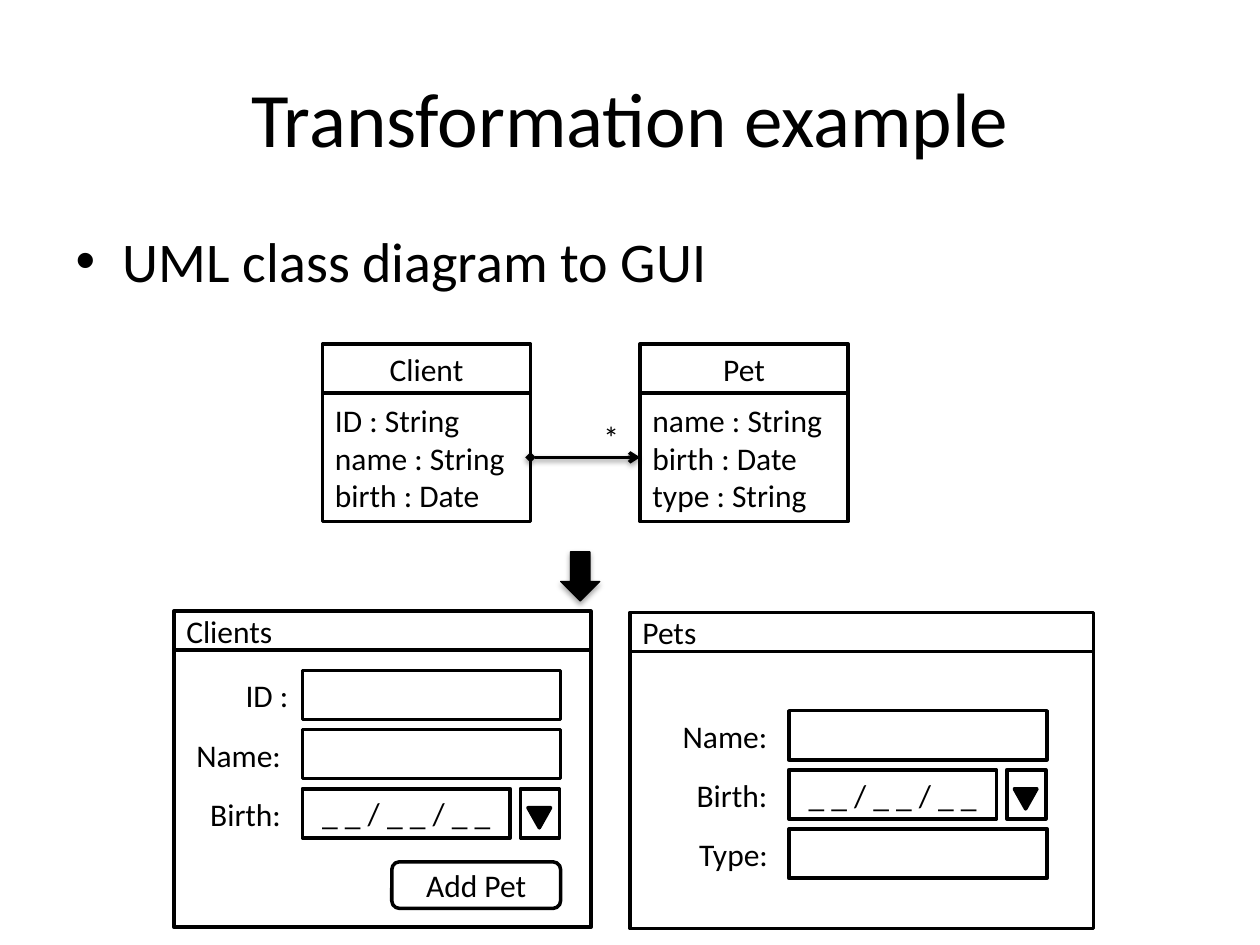
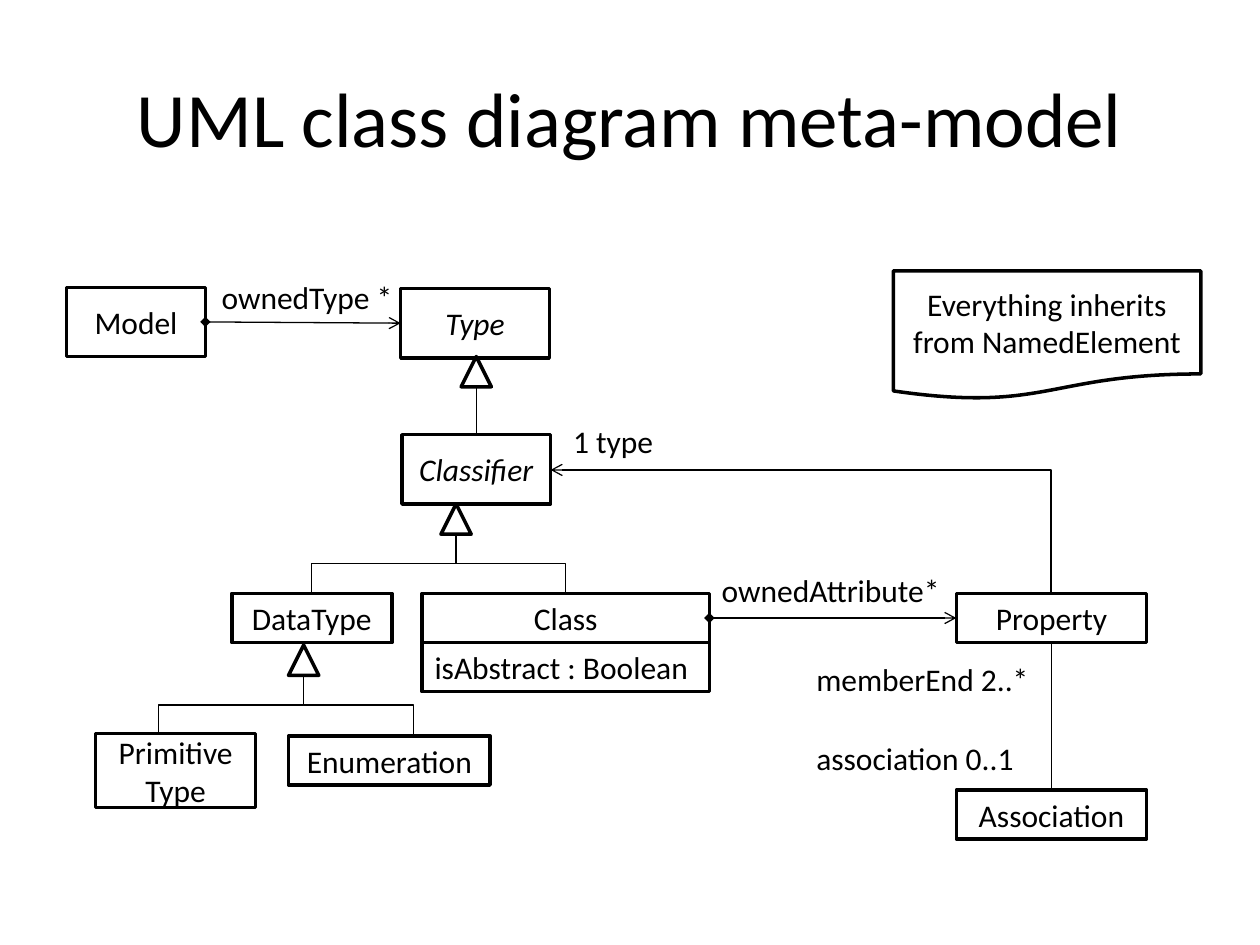
from dataclasses import dataclass

from lxml.etree import SubElement
from pptx import Presentation
from pptx.dml.color import RGBColor
from pptx.enum.shapes import MSO_CONNECTOR, MSO_SHAPE
from pptx.enum.text import MSO_ANCHOR, MSO_AUTO_SIZE, PP_ALIGN
from pptx.oxml.ns import qn
from pptx.util import Inches, Pt


@dataclass(frozen=True)
class Theme:
    font: str = "Calibri"
    ink: RGBColor = RGBColor(0, 0, 0)
    paper: RGBColor = RGBColor(255, 255, 255)
    title_size: float = 44
    body_size: float = 32
    label_size: float = 18
    thick: float = 2
    thin: float = 0.75


TITLE_AREA = (0.5, 0.3, 9, 1.25)
ROW_HEIGHT = 0.39
ROW_PITCH = 0.47
LABEL_HEIGHT = 0.4
FIELD_WIDTH = 2.05
DATE_WIDTH = 1.65
HEADER_HEIGHT = 0.31
CLASS_WIDTH = 1.65
TRIANGLE_SIZE = 0.24
BRANCH_HEIGHT = 0.47
BRANCH_OFFSETS = (-1.15, 0.87)


class DiagramDeck:
    """Holds the style and the current slide."""

    def __init__(self, theme):
        self.theme = theme
        self.deck = Presentation()
        self.deck.slide_width = Inches(10)
        self.deck.slide_height = Inches(7.5)
        self.page = None

    # Slides and text
    def add_page(self, title, bullet=None):
        layout = self.deck.slide_layouts[1 if bullet else 5]
        self.page = self.deck.slides.add_slide(layout)
        self.fill_placeholder(0, TITLE_AREA, title, self.theme.title_size, PP_ALIGN.CENTER)
        if bullet:
            self.fill_placeholder(1, (0.5, 1.75, 9, 0.66), bullet, self.theme.body_size)

    def fill_placeholder(self, index, area, text, size, align=None):
        box = self.page.placeholders[index]
        box.left, box.top, box.width, box.height = map(Inches, area)
        self.add_lines(box.text_frame, [text], size, align)

    def add_lines(self, frame, lines, size, align=None, italic=None):
        for number, line in enumerate(lines):
            para = frame.add_paragraph() if number else frame.paragraphs[0]
            para.alignment = align
            span = para.add_run()
            span.text = line
            span.font.name = self.theme.font
            span.font.size = Pt(size)
            span.font.italic = italic
            span.font.color.rgb = self.theme.ink

    def label(self, left, top, width, text):
        box = self.page.shapes.add_textbox(
            Inches(left), Inches(top), Inches(width), Inches(LABEL_HEIGHT))
        box.text_frame.word_wrap = False
        box.text_frame.auto_size = MSO_AUTO_SIZE.SHAPE_TO_FIT_TEXT
        self.add_lines(box.text_frame, [text], self.theme.label_size)

    # Shapes
    def box(self, left, top, width, height, *lines, align=PP_ALIGN.CENTER,
            italic=None, kind=MSO_SHAPE.RECTANGLE, solid=False, weight=None):
        box = self.page.shapes.add_shape(
            kind, Inches(left), Inches(top), Inches(width), Inches(height))
        box.shadow.inherit = False
        box.fill.solid()
        box.fill.fore_color.rgb = self.theme.ink if solid else self.theme.paper
        box.line.color.rgb = self.theme.ink
        box.line.width = Pt(weight or self.theme.thick)
        box.text_frame.word_wrap = True
        box.text_frame.vertical_anchor = MSO_ANCHOR.MIDDLE
        self.add_lines(box.text_frame, lines, self.theme.label_size, align, italic)
        return box

    def triangle(self, left, top, width, height, **style):
        return self.box(left, top, width, height,
                        kind=MSO_SHAPE.ISOSCELES_TRIANGLE, **style)

    def drop_shadow(self, shape, distance, opacity):
        effects = shape.element.spPr.find(qn("a:effectLst"))
        shadow = SubElement(effects, qn("a:outerShdw"), blurRad=str(int(Pt(3.1))),
                            dist=str(int(Pt(distance))), dir="5400000", rotWithShape="0")
        color = SubElement(shadow, qn("a:srgbClr"), val=str(self.theme.ink))
        SubElement(color, qn("a:alpha"), val=str(opacity * 1000))

    # Connectors
    def connector(self, kind, start, end, weight, head=None, tail=None):
        line = self.page.shapes.add_connector(kind, *map(Inches, (*start, *end)))
        line.line.color.rgb = self.theme.ink
        line.line.width = Pt(weight)
        outline = line.element.spPr.find(qn("a:ln"))
        for tag, mark in (("a:headEnd", head), ("a:tailEnd", tail)):
            if mark:
                SubElement(outline, qn(tag), type=mark)
        SubElement(line.element.spPr, qn("a:effectLst"))
        return line

    def join(self, source, source_side, target, target_side, weight=None, **ends):
        line = self.connector(MSO_CONNECTOR.STRAIGHT, (0, 0), (1, 1),
                              weight or self.theme.thin, **ends)
        line.begin_connect(source, source_side)
        line.end_connect(target, target_side)
        return line

    def own(self, owner, part, weight=None):
        return self.join(owner, 3, part, 1, weight, head="diamond", tail="arrow")

    def rising_elbow(self, start, end, single_bend=False, tail=None):
        """Bent line that leaves its start upwards."""
        half_rise = abs(end[1] - start[1]) / 2
        half_run = abs(end[0] - start[0]) / 2
        middle_x = (start[0] + end[0]) / 2
        middle_y = (start[1] + end[1]) / 2
        line = self.connector(
            MSO_CONNECTOR.ELBOW,
            (middle_x - half_rise, middle_y - half_run),
            (middle_x + half_rise, middle_y + half_run), self.theme.thin, tail=tail)
        frame = line.element.spPr.find(qn("a:xfrm"))
        frame.set("flipV", "1")
        if end[0] > start[0]:
            frame.set("rot", "5400000")
            frame.set("flipH", "1")
        else:
            frame.set("rot", "16200000")
        if single_bend:
            line.element.spPr.find(qn("a:prstGeom")).set("prst", "bentConnector2")

    # Composite elements
    def uml_class(self, left, top, width, name, attributes, height):
        header = self.box(left, top, width, ROW_HEIGHT, name)
        body = self.box(left, top + ROW_HEIGHT, width, height, *attributes,
                        align=PP_ALIGN.LEFT)
        return header, body

    def window(self, left, top, width, name, field_left, first_row, rows):
        self.box(left, top + HEADER_HEIGHT, width, 2.2)
        self.box(left, top, width, HEADER_HEIGHT, name, align=PP_ALIGN.LEFT)
        for number, (text, label_width, overlap) in enumerate(rows):
            row_top = first_row + number * ROW_PITCH
            self.label(field_left - label_width + overlap, row_top, label_width, text)
            if text == "Birth:":
                self.date_field(field_left, row_top)
            else:
                self.box(field_left, row_top, FIELD_WIDTH, ROW_HEIGHT)

    def date_field(self, left, top):
        self.box(left, top, DATE_WIDTH, ROW_HEIGHT, "_ _ / _ _ / _ _")
        self.box(left + 1.73, top, 0.31, ROW_HEIGHT)
        marker = self.triangle(left + 1.79, top + 0.15, 0.18, 0.16, solid=True)
        marker.rotation = 180

    def inheritance(self, center, top):
        self.triangle(center - TRIANGLE_SIZE / 2, top, TRIANGLE_SIZE, TRIANGLE_SIZE)
        return top + TRIANGLE_SIZE

    def inheritance_branches(self, center, top):
        base = self.inheritance(center, top)
        for offset in BRANCH_OFFSETS:
            self.rising_elbow((center + offset, base + BRANCH_HEIGHT), (center, base))


def add_transformation(slides):
    slides.add_page("Transformation example", "UML class diagram to GUI")

    # Class diagram
    client = slides.uml_class(2.56, 2.73, CLASS_WIDTH, "Client",
                              ("ID : String", "name : String", "birth : Date"), 1.02)
    pet = slides.uml_class(5.08, 2.73, CLASS_WIDTH, "Pet",
                           ("name : String", "birth : Date", "type : String"), 1.02)
    ownership = slides.own(client[1], pet[1], slides.theme.thick)
    slides.drop_shadow(ownership, 1.6, 38)
    slides.label(4.69, 3.27, 0.33, "*")

    # Transformation arrow
    arrow = slides.box(4.45, 4.38, 0.31, 0.39, kind=MSO_SHAPE.DOWN_ARROW,
                       solid=True, weight=slides.theme.thin)
    slides.drop_shadow(arrow, 1.8, 35)

    # Generated windows
    name_row = ("Name:", 0.94, 0)
    birth_row = ("Birth:", 0.83, 0)
    slides.window(1.38, 4.85, 3.31, "Clients", 2.4, 5.32,
                  (("ID :", 0.61, 0.06), name_row, birth_row))
    slides.box(3.11, 6.84, 1.34, 0.37, "Add Pet", kind=MSO_SHAPE.ROUNDED_RECTANGLE)
    slides.window(5, 4.86, 3.68, "Pets", 6.26, 5.64,
                  (name_row, birth_row, ("Type:", 0.81, 0)))


def add_meta_model(slides):
    slides.add_page("UML class diagram meta-model")

    # Classes
    model = slides.box(0.53, 2.28, 1.1, 0.55, "Model")
    type_box = slides.box(3.18, 2.29, 1.18, 0.55, "Type", italic=True)
    classifier = slides.box(3.19, 3.45, 1.18, 0.55, "Classifier", italic=True)
    slides.box(1.84, 4.71, 1.27, ROW_HEIGHT, "DataType")
    class_header, _ = slides.uml_class(3.35, 4.71, 2.28, "Class",
                                       ("isAbstract : Boolean",), ROW_HEIGHT)
    property_box = slides.box(7.59, 4.71, 1.51, ROW_HEIGHT, "Property")
    association = slides.box(7.59, 6.27, 1.51, ROW_HEIGHT, "Association")
    slides.box(0.76, 5.82, 1.27, 0.59, "Primitive", "Type")
    slides.box(2.29, 5.84, 1.6, ROW_HEIGHT, "Enumeration")
    slides.box(7.09, 2.15, 2.44, 1.02, "Everything inherits", "from NamedElement",
               kind=MSO_SHAPE.FLOWCHART_DOCUMENT)

    # Inheritance
    base = slides.inheritance(3.78, 2.83)
    stem = slides.connector(MSO_CONNECTOR.STRAIGHT, (3.78, base), (3.78, 3.45),
                            slides.theme.thin)
    stem.end_connect(classifier, 0)
    slides.inheritance_branches(3.62, 4)
    slides.inheritance_branches(2.41, 5.12)

    # Associations
    slides.own(model, type_box)
    slides.own(class_header, property_box)
    slides.join(property_box, 2, association, 0)
    slides.rising_elbow((8.34, 4.71), (4.37, 3.73), single_bend=True, tail="arrow")

    # Role names
    for left, top, width, text in (
            (1.66, 2.16, 1.58, "ownedType *"),
            (5.63, 4.48, 1.96, "ownedAttribute*"),
            (4.45, 3.3, 0.85, "1 type"),
            (6.38, 5.82, 1.78, "association 0..1"),
            (6.38, 5.19, 1.91, "memberEnd 2..*")):
        slides.label(left, top, width, text)


def main():
    slides = DiagramDeck(Theme())
    add_transformation(slides)
    add_meta_model(slides)
    slides.deck.save("out.pptx")


if __name__ == "__main__":
    main()
